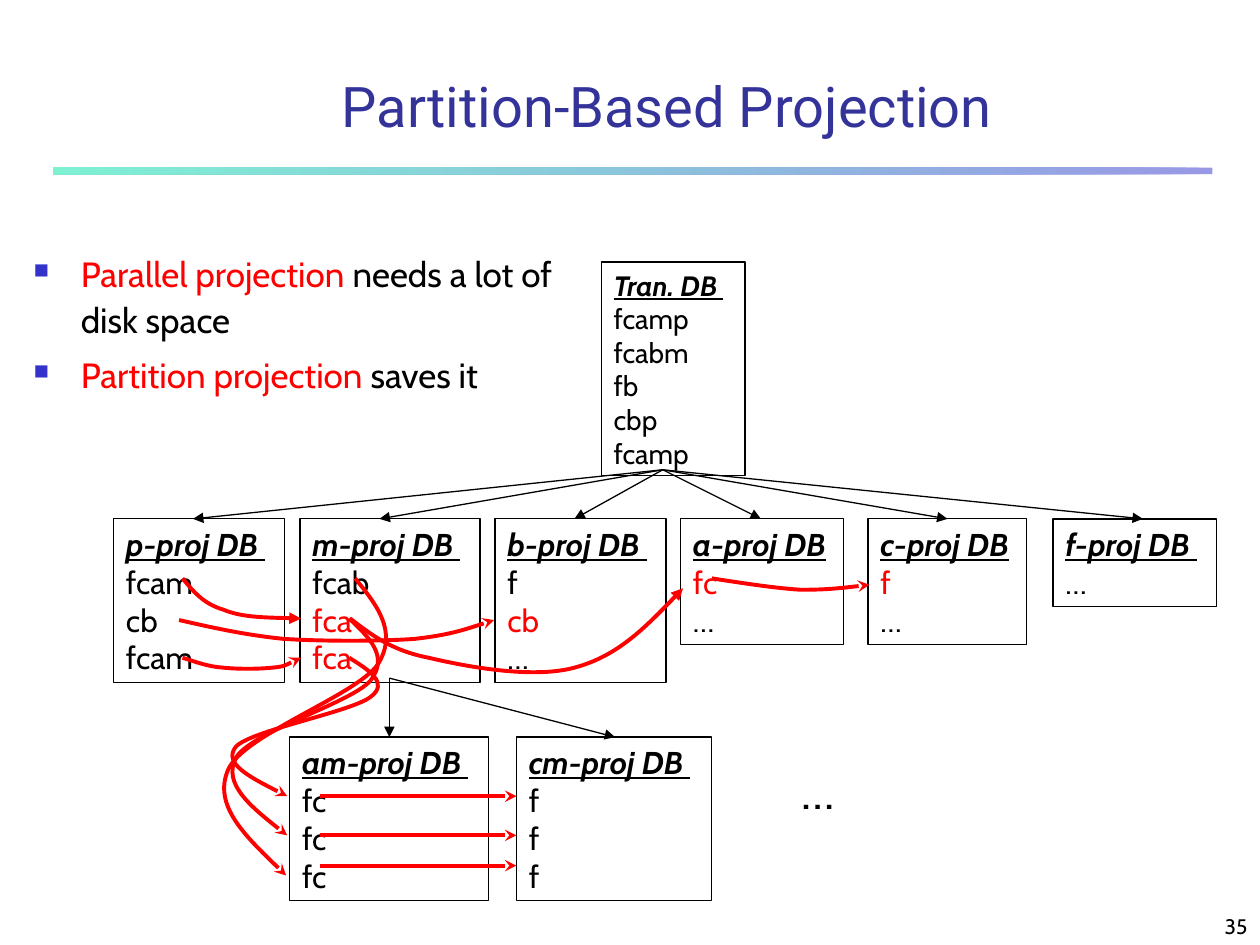
from lxml.etree import SubElement
from pptx import Presentation
from pptx.dml.color import RGBColor
from pptx.enum.shapes import MSO_CONNECTOR as Connector, MSO_SHAPE as Preset
from pptx.enum.text import MSO_ANCHOR as Anchor, PP_ALIGN as Align
from pptx.oxml.ns import qn
from pptx.util import Cm, Pt

BLACK = RGBColor(0x00, 0x00, 0x00)
RED = RGBColor(0xFF, 0x00, 0x00)
NAVY = RGBColor(0x33, 0x33, 0x99)
BLUE = RGBColor(0x33, 0x33, 0xCC)
MINT = RGBColor(0x00, 0xE4, 0xA8)
BODY_FONT, TITLE_FONT = "Cabin", "Roboto"

ROW_TOP, LOWER_TOP = 10.46, 14.86

# name, left, top, width, size, rows of (text, colour)
DATABASES = [
    ("Tran. DB ", 12.12, 5.28, 2.9, 16,
     [(items, BLACK) for items in ("fcamp", "fcabm", "fb", "cbp", "fcamp")]),
    ("p-proj DB ", 2.29, ROW_TOP, 3.45, 18, [("fcam", BLACK), ("cb", BLACK), ("fcam", BLACK)]),
    ("m-proj DB ", 6.05, ROW_TOP, 3.63, 18, [("fcab", BLACK), ("fca", RED), ("fca", RED)]),
    ("b-proj DB ", 9.98, ROW_TOP, 3.45, 18, [("f", BLACK), ("cb", RED), ("…", BLACK)]),
    ("a-proj DB", 13.72, ROW_TOP, 3.28, 18, [("fc", RED), ("…", BLACK)]),
    ("c-proj DB", 17.5, ROW_TOP, 3.2, 18, [("f", RED), ("…", BLACK)]),
    ("f-proj DB ", 21.23, ROW_TOP, 3.3, 18, [("…", BLACK)]),
    ("am-proj DB ", 5.84, LOWER_TOP, 4.01, 18, [("fc", BLACK)] * 3),
    ("cm-proj DB ", 10.41, LOWER_TOP, 3.94, 18, [("f", BLACK)] * 3),
]

# arrowhead, then start point followed by triples of Bézier points
FLOWS = [
    ("triangle", [(3.68, 11.66), (3.89, 11.91), (4.09, 12.17), (4.5, 12.29),
                  (4.88, 12.45), (5.49, 12.45), (6.07, 12.47)]),
    ("triangle", [(7.06, 12.47), (7.47, 12.78), (7.87, 13.11), (8.64, 13.26),
                  (9.4, 13.44), (10.74, 13.69), (11.58, 13.46),
                  (12.45, 13.23), (13.11, 12.55), (13.77, 11.86)]),
    ("stealth", [(14.35, 11.66), (14.99, 11.76), (15.65, 11.86), (16.15, 11.89),
                 (16.69, 11.89), (17.09, 11.84), (17.53, 11.79)]),
    ("stealth", [(3.68, 13.26), (3.94, 13.34), (4.19, 13.44), (4.5, 13.46),
                 (4.78, 13.49), (5.21, 13.49), (5.49, 13.46),
                 (5.74, 13.44), (5.89, 13.34), (6.07, 13.26)]),
    ("stealth", [(7.04, 13.26), (7.44, 13.51), (7.85, 13.77), (7.47, 14.05),
                 (7.09, 14.35), (5.03, 14.73), (4.75, 15.06),
                 (4.5, 15.39), (5.13, 15.72), (5.79, 16.05)]),
    ("stealth", [(7.04, 12.47), (7.44, 12.85), (7.85, 13.23), (7.47, 13.72),
                 (7.09, 14.17), (5.03, 14.76), (4.75, 15.29),
                 (4.5, 15.8), (5.13, 16.33), (5.79, 16.84)]),
    ("stealth", [(7.16, 11.66), (7.59, 12.19), (8.03, 12.73), (7.62, 13.39),
                 (7.19, 14.02), (4.9, 14.81), (4.6, 15.52),
                 (4.29, 16.23), (5.03, 16.94), (5.77, 17.65)]),
    ("stealth", [(3.61, 12.5), (4.27, 12.65), (4.93, 12.8), (5.72, 12.88),
                 (6.5, 12.93), (7.65, 12.93), (8.36, 12.88),
                 (9.07, 12.8), (9.5, 12.65), (9.96, 12.5)]),
]


def add_span(para, text, size, color=BLACK, font=BODY_FONT):
    """Append a formatted run and return it."""
    span = para.add_run()
    span.text = text
    span.font.name, span.font.size = font, Pt(size)
    span.font.color.rgb = color
    return span


def style_line(shape, color, points, head=None):
    """Set the outline and an optional arrowhead at its end."""
    shape.line.color.rgb = color
    shape.line.width = Pt(points)
    if head:
        SubElement(shape.line._get_or_add_ln(), qn("a:tailEnd"), type=head)


def add_label(page, text, size, box, align=Align.LEFT, anchor=Anchor.TOP):
    """Add a one-line text box."""
    label = page.shapes.add_textbox(*map(Cm, box))
    label.text_frame.word_wrap = True
    label.text_frame.vertical_anchor = anchor
    para = label.text_frame.paragraphs[0]
    para.alignment = align
    add_span(para, text, size)


def add_title(page):
    """Place and fill the title placeholder."""
    title = page.shapes.title
    title.left, title.top, title.width, title.height = map(Cm, (2.54, 1.27, 21.82, 1.7))
    title.text_frame.vertical_anchor = Anchor.MIDDLE
    para = title.text_frame.paragraphs[0]
    para.alignment = Align.CENTER
    add_span(para, "Partition-Based Projection", 32, NAVY, TITLE_FONT)


def add_rule(page):
    """Draw the half-transparent gradient bar under the title."""
    rule = page.shapes.add_shape(Preset.RECTANGLE, Cm(1.07), Cm(3.38), Cm(23.37), Cm(0.13))
    rule.shadow.inherit = False
    rule.line.fill.background()
    rule.fill.gradient()
    rule.fill.gradient_angle = 180
    for stop, color in zip(rule.fill.gradient_stops, (BLUE, MINT)):
        stop.color.rgb = color
    for color in rule._element.spPr.iter(qn("a:srgbClr")):
        SubElement(color, qn("a:alpha"), val="50000")


def add_bullets(page):
    """Write the bulleted statements with red key terms."""
    body = page.shapes.add_textbox(Cm(0.43), Cm(4.88), Cm(11.43), Cm(3.81)).text_frame
    body.word_wrap = True
    statements = [("Parallel projection ", "needs a lot of disk space"),
                  ("Partition projection ", "saves it")]
    for index, (term, rest) in enumerate(statements):
        para = body.add_paragraph() if index else body.paragraphs[0]
        props = para._p.get_or_add_pPr()
        props.set("marL", str(Cm(0.95)))
        props.set("indent", str(-Cm(0.95)))
        SubElement(SubElement(props, qn("a:buClr")), qn("a:srgbClr"), val=str(BLUE))
        SubElement(props, qn("a:buSzPct"), val="60000")
        SubElement(props, qn("a:buChar"), char="■")
        para.line_spacing = 1.1
        if index:
            para.space_before = Pt(5)
        add_span(para, term, 20, RED)
        add_span(para, rest, 20)


def add_database(page, name, left, top, width, size, rows):
    """Draw a database box as tall as its lines of text."""
    height = 0.25 + (len(rows) + 1) * size * 0.0423
    box = page.shapes.add_shape(Preset.RECTANGLE, *map(Cm, (left, top, width, height)))
    box.shadow.inherit = False
    box.fill.background()
    style_line(box, BLACK, 0.75)
    frame = box.text_frame
    frame.word_wrap = True
    frame.vertical_anchor = Anchor.TOP
    para = frame.paragraphs[0]
    para.alignment = Align.LEFT
    heading = add_span(para, name, size).font
    heading.bold = heading.italic = heading.underline = True
    for text, color in rows:
        para = frame.add_paragraph()
        para.alignment = Align.LEFT
        add_span(para, text, size, color)


def add_arrow(page, start, end, color, points, head):
    """Draw a straight arrow."""
    arrow = page.shapes.add_connector(Connector.STRAIGHT, *map(Cm, start + end))
    style_line(arrow, color, points, head)
    SubElement(arrow._element.spPr, qn("a:effectLst"))


def add_flow(page, head, points):
    """Draw a red curved arrow through Bézier points."""
    corners = [(Cm(x), Cm(y)) for x, y in points]
    builder = page.shapes.build_freeform(*corners[0])
    builder.add_line_segments(corners[1:], close=False)
    flow = builder.convert_to_shape()
    flow.shadow.inherit = False
    flow.fill.background()
    style_line(flow, RED, 2.25, head)
    outline = next(flow._element.spPr.iter(qn("a:path")))
    segments = outline.findall(qn("a:lnTo"))
    for first in range(0, len(segments), 3):
        curve = SubElement(outline, qn("a:cubicBezTo"))
        for segment in segments[first:first + 3]:
            curve.append(segment[0])
            outline.remove(segment)


def main():
    """Build the slide and save it."""
    deck = Presentation()
    deck.slide_width, deck.slide_height = Cm(25.4), Cm(19.05)
    page = deck.slides.add_slide(deck.slide_layouts[5])
    add_rule(page)
    add_title(page)
    add_bullets(page)
    for database in DATABASES:
        add_database(page, *database)
    for x in (3.89, 7.65, 11.58, 15.34, 19.1, 23.04):
        add_arrow(page, (13.36, 9.47), (x, ROW_TOP), BLACK, 0.75, "triangle")
    for x in (7.85, 12.4):
        add_arrow(page, (7.85, 13.67), (x, LOWER_TOP), BLACK, 0.75, "triangle")
    for y in (16.05, 16.84, 17.45):
        add_arrow(page, (6.45, y), (10.41, y), RED, 2.25, "stealth")
    for head, points in FLOWS:
        add_flow(page, head, points)
    add_label(page, "…", 28, (15.9, 15.21, 1.27, 1.45))
    add_label(page, "35", 12, (20.12, 17.98, 5.28, 1.07), Align.RIGHT, Anchor.BOTTOM)
    deck.save("out.pptx")


if __name__ == "__main__":
    main()
